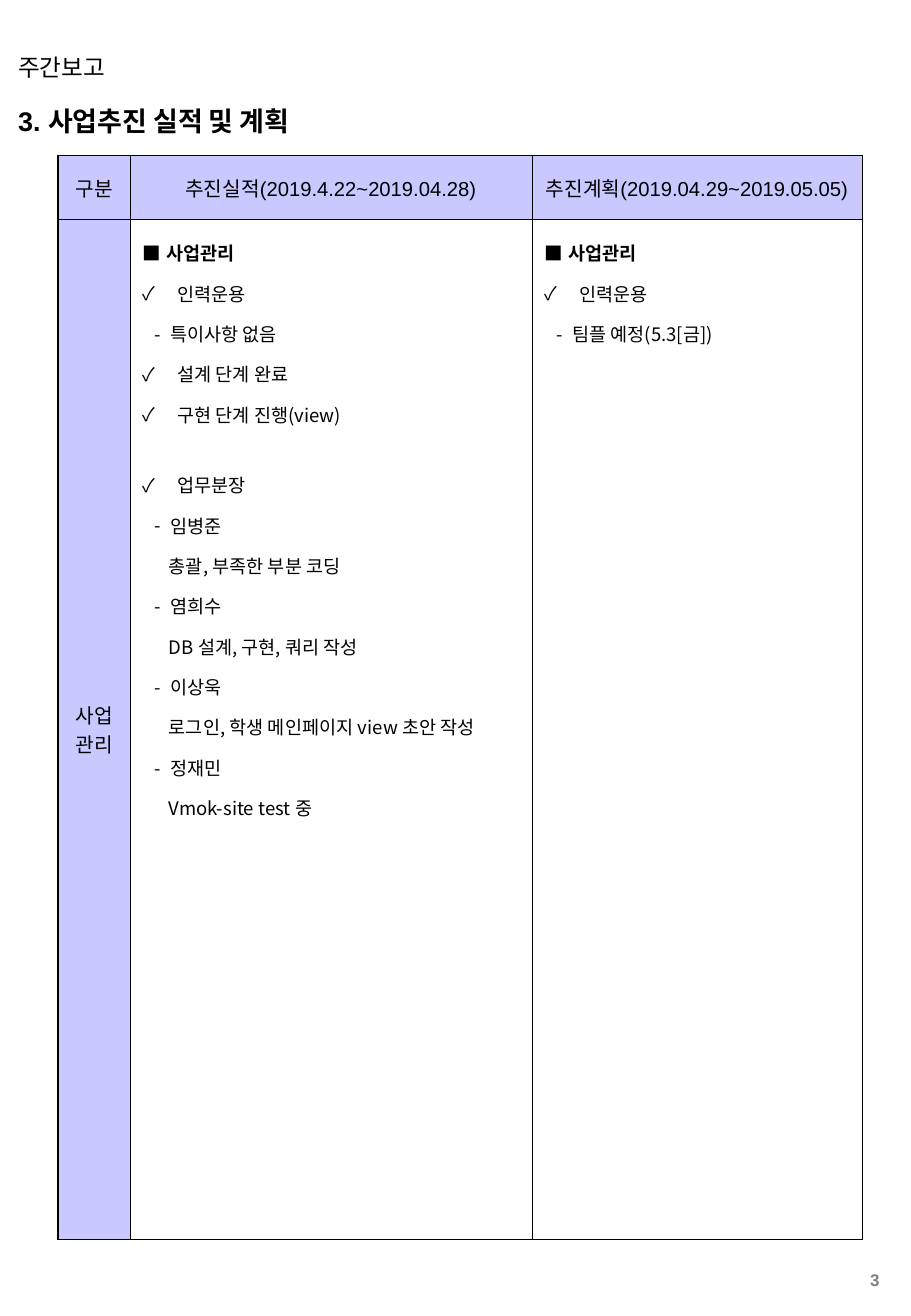
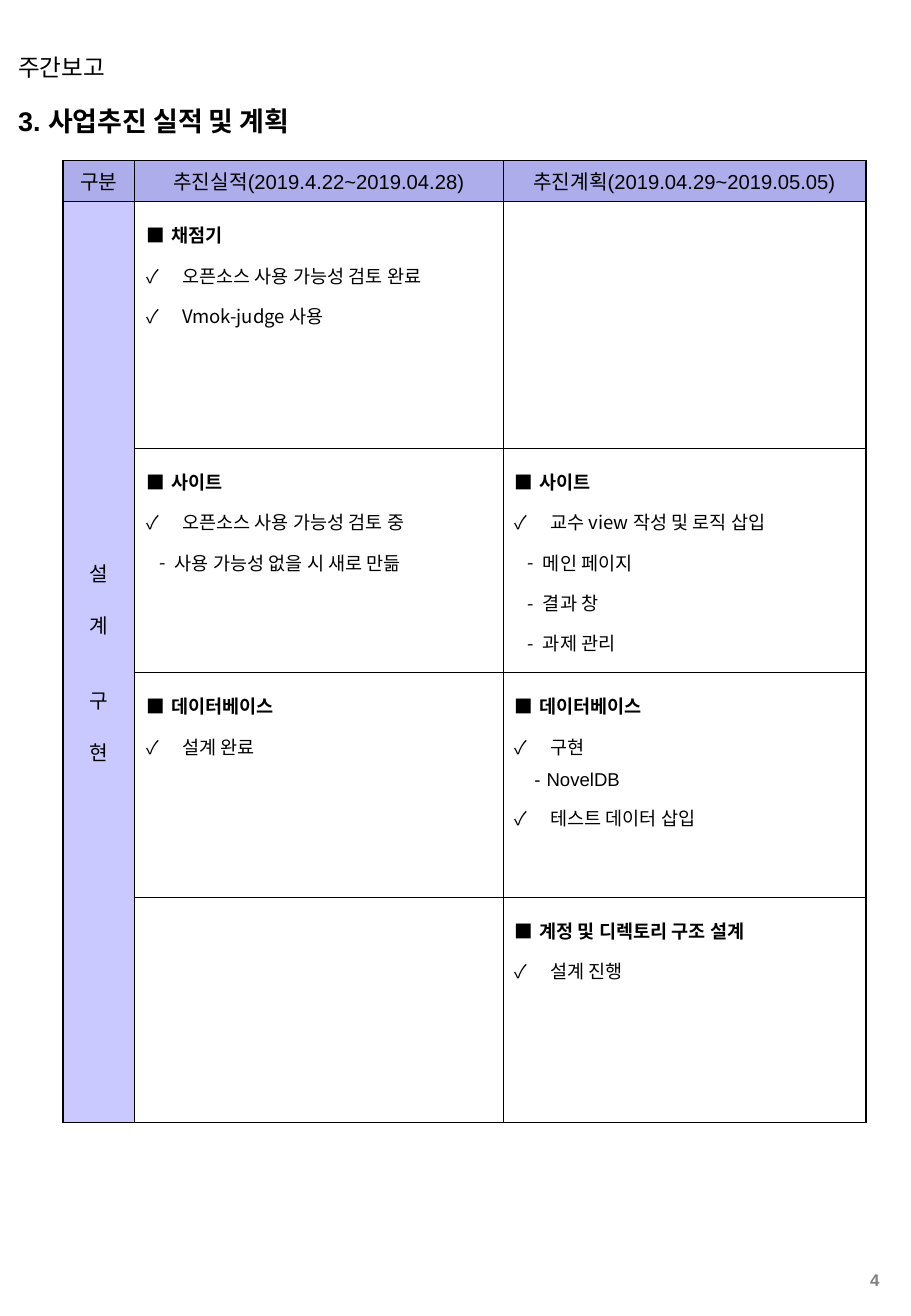
from lxml import etree
from pptx import Presentation
from pptx.dml.color import RGBColor
from pptx.enum.text import MSO_ANCHOR, MSO_AUTO_SIZE, PP_ALIGN
from pptx.oxml.ns import qn
from pptx.util import Inches, Pt

TOP, MIDDLE = MSO_ANCHOR.TOP, MSO_ANCHOR.MIDDLE
LEFT, CENTER, RIGHT = PP_ALIGN.LEFT, PP_ALIGN.CENTER, PP_ALIGN.RIGHT
FIXED_SIZE = MSO_AUTO_SIZE.NONE

COLORS = {"ink": "000000", "page": "808080", "lilac": "C9C9FF", "violet": "ADADEB"}
LATIN, KOREAN = "Arial", "Noto Sans CJK KR"
THIN, THICK = 0.45, 1.08
FIRST_PAGE = 3

# Line kinds: left margin, hanging indent, bullet, bold, font, space before
LINE_KINDS = {
    "heading": (0.2, 0.2, "■", True, KOREAN, 0),
    "task": (0.29, 0.29, "✓", False, KOREAN, 0),
    "next task": (0.29, 0.29, "✓", False, KOREAN, 18),
    "point": (0.23, 0.13, "-", False, KOREAN, 0),
    "latin point": (0.26, 0.1, "-", False, LATIN, 0),
    "detail": (0.22, 0, None, False, KOREAN, 0),
}

HEADERS = ["구분", "추진실적(2019.4.22~2019.04.28)", "추진계획(2019.04.29~2019.05.05)"]

MANAGEMENT = [[
    [("heading", "사업관리"),
     ("task", "인력운용"),
     ("point", "특이사항 없음"),
     ("task", "설계 단계 완료"),
     ("task", "구현 단계 진행(view)"),
     ("next task", "업무분장"),
     ("point", "임병준"),
     ("detail", "총괄, 부족한 부분 코딩"),
     ("point", "염희수"),
     ("detail", "DB 설계, 구현, 쿼리 작성"),
     ("point", "이상욱"),
     ("detail", "로그인, 학생 메인페이지 view 초안 작성"),
     ("point", "정재민"),
     ("detail", "Vmok-site test 중")],
    [("heading", "사업관리"),
     ("task", "인력운용"),
     ("point", "팀플 예정(5.3[금])")],
]]

DEVELOPMENT = [
    [[("heading", "채점기"),
      ("task", "오픈소스 사용 가능성 검토 완료"),
      ("task", "Vmok-judge 사용")],
     []],
    [[("heading", "사이트"),
      ("task", "오픈소스 사용 가능성 검토 중"),
      ("point", "사용 가능성 없을 시 새로 만듦")],
     [("heading", "사이트"),
      ("task", "교수 view 작성 및 로직 삽입"),
      ("point", "메인 페이지"),
      ("point", "결과 창"),
      ("point", "과제 관리")]],
    [[("heading", "데이터베이스"),
      ("task", "설계 완료")],
     [("heading", "데이터베이스"),
      ("task", "구현"),
      ("latin point", "NovelDB"),
      ("task", "테스트 데이터 삽입")]],
    [[],
     [("heading", "계정 및 디렉토리 구조 설계"),
      ("task", "설계 진행")]],
]


class WeeklyReport:
    def __init__(self):
        self.prs = Presentation()
        self.prs.slide_width, self.prs.slide_height = Inches(7.5), Inches(10.84)
        # Page numbers continue the full report
        self.prs.element.set("firstSlideNum", str(FIRST_PAGE))
        self.slide = None

    def new_slide(self):
        """Start a slide with the shared header, title and page number."""
        self.slide = self.prs.slides.add_slide(self.prs.slide_layouts[5])
        self.title("3. 사업추진 실적 및 계획")
        header = self.text_box(0.05, 0.38, 5.95, 0.34)
        self.run(header, "주간보고", 14)
        self.page_number(FIRST_PAGE + len(self.prs.slides) - 1)

    def title(self, text):
        title = self.slide.shapes.title
        self.place(title, 0.05, 0.81, 5.36, 0.37)
        paragraph = title.text_frame.paragraphs[0]
        paragraph.alignment = LEFT
        self.run(paragraph, text, 16, bold=True)

    def place(self, shape, left, top, width, height):
        shape.left, shape.top = Inches(left), Inches(top)
        shape.width, shape.height = Inches(width), Inches(height)
        frame = shape.text_frame
        frame.word_wrap = True
        frame.auto_size = FIXED_SIZE
        frame.vertical_anchor = MIDDLE

    def text_box(self, *box):
        shape = self.slide.shapes.add_textbox(0, 0, 0, 0)
        self.place(shape, *box)
        return shape.text_frame.paragraphs[0]

    def page_number(self, number):
        paragraph = self.text_box(6.78, 10.42, 0.56, 0.24)
        paragraph.alignment = RIGHT
        run = self.run(paragraph, str(number), 10, bold=True, color="page")
        # Turn the run into a live slide number field
        field = etree.SubElement(paragraph._p, qn("a:fld"), type="slidenum",
                                 id="{B6F15528-21DE-4FAA-801E-634DDDAF4B2B}")
        for child in list(run._r):
            field.append(child)
        paragraph._p.remove(run._r)

    def run(self, paragraph, text, size, bold=False, font=LATIN, color="ink"):
        run = paragraph.add_run()
        run.text = text
        run.font.size, run.font.bold, run.font.name = Pt(size), bold, font
        run.font.color.rgb = RGBColor.from_string(COLORS[color])
        etree.SubElement(run._r.get_or_add_rPr(), qn("a:ea"), typeface=KOREAN)
        return run

    def paragraphs(self, frame, count):
        return [frame.paragraphs[0]] + [frame.add_paragraph() for _ in range(count - 1)]

    def list_lines(self, cell, lines):
        for paragraph, (kind, text) in zip(self.paragraphs(cell.text_frame, len(lines)), lines):
            left, hang, bullet, bold, font, gap = LINE_KINDS[kind]
            paragraph.line_spacing = 1.5
            paragraph.space_before = Pt(gap)
            props = paragraph._p.get_or_add_pPr()
            props.set("marL", str(Inches(left)))
            props.set("indent", str(-Inches(hang)))
            if bullet:
                etree.SubElement(props, qn("a:buFont"), typeface=font)
                etree.SubElement(props, qn("a:buChar"), char=bullet)
            self.run(paragraph, text, 11, bold, font)

    def label(self, cell, lines):
        """Centred label; each line is (text, space before)."""
        cell.vertical_anchor = MIDDLE
        for paragraph, (text, gap) in zip(self.paragraphs(cell.text_frame, len(lines)), lines):
            paragraph.alignment = CENTER
            paragraph.space_before = Pt(gap)
            self.run(paragraph, text, 12)

    def frame_cell(self, cell, fill, **widths):
        props = cell._tc.get_or_add_tcPr()
        for side in "LRTB":
            line = etree.SubElement(props, qn("a:ln" + side), w=str(Pt(widths.get(side, THIN))))
            paint = etree.SubElement(line, qn("a:solidFill"))
            etree.SubElement(paint, qn("a:srgbClr"), val=COLORS["ink"])
        if fill:
            cell.fill.solid()
            cell.fill.fore_color.rgb = RGBColor.from_string(COLORS[fill])
        else:
            cell.fill.background()

    def plan_table(self, left, top, columns, rows, header_fill, top_line, stage, body):
        table = self.slide.shapes.add_table(
            len(rows), len(columns), Inches(left), Inches(top),
            Inches(sum(columns)), Inches(sum(rows))).table
        table.first_row = table.horz_banding = False
        for column, width in zip(table.columns, columns):
            column.width = Inches(width)
        for row, height in zip(table.rows, rows):
            row.height = Inches(height)

        # Borders and fills
        last = len(columns) - 1
        for r in range(len(rows)):
            for c in range(len(columns)):
                fill = header_fill if r == 0 else "lilac" if c == 0 else None
                self.frame_cell(table.cell(r, c), fill,
                                L=THICK if c == 0 else THIN,
                                R=THICK if c == last else THIN,
                                T=top_line if r == 0 else THIN)

        # Header row, stage column and work lists
        for c, text in enumerate(HEADERS):
            self.label(table.cell(0, c), [(text, 0)])
        if len(rows) > 2:
            table.cell(1, 0).merge(table.cell(len(rows) - 1, 0))
        self.label(table.cell(1, 0), stage)
        for r, work in enumerate(body, 1):
            for c, lines in enumerate(work, 1):
                table.cell(r, c).vertical_anchor = TOP
                self.list_lines(table.cell(r, c), lines)


def main():
    report = WeeklyReport()

    # Project management
    report.new_slide()
    report.plan_table(0.48, 1.28, [0.59, 3.31, 2.72], [0.5, 8.4], "lilac", THICK,
                      [("사업", 0), ("관리", 0)], MANAGEMENT)

    # Design and implementation
    report.new_slide()
    report.plan_table(0.52, 1.32, [0.59, 3.03, 2.99], [0.33, 2.03] + [1.85] * 3, "violet", THIN,
                      [("설", 0), ("계", 13.5), ("구", 27), ("현", 13.5)], DEVELOPMENT)

    report.prs.save("out.pptx")


if __name__ == "__main__":
    main()
